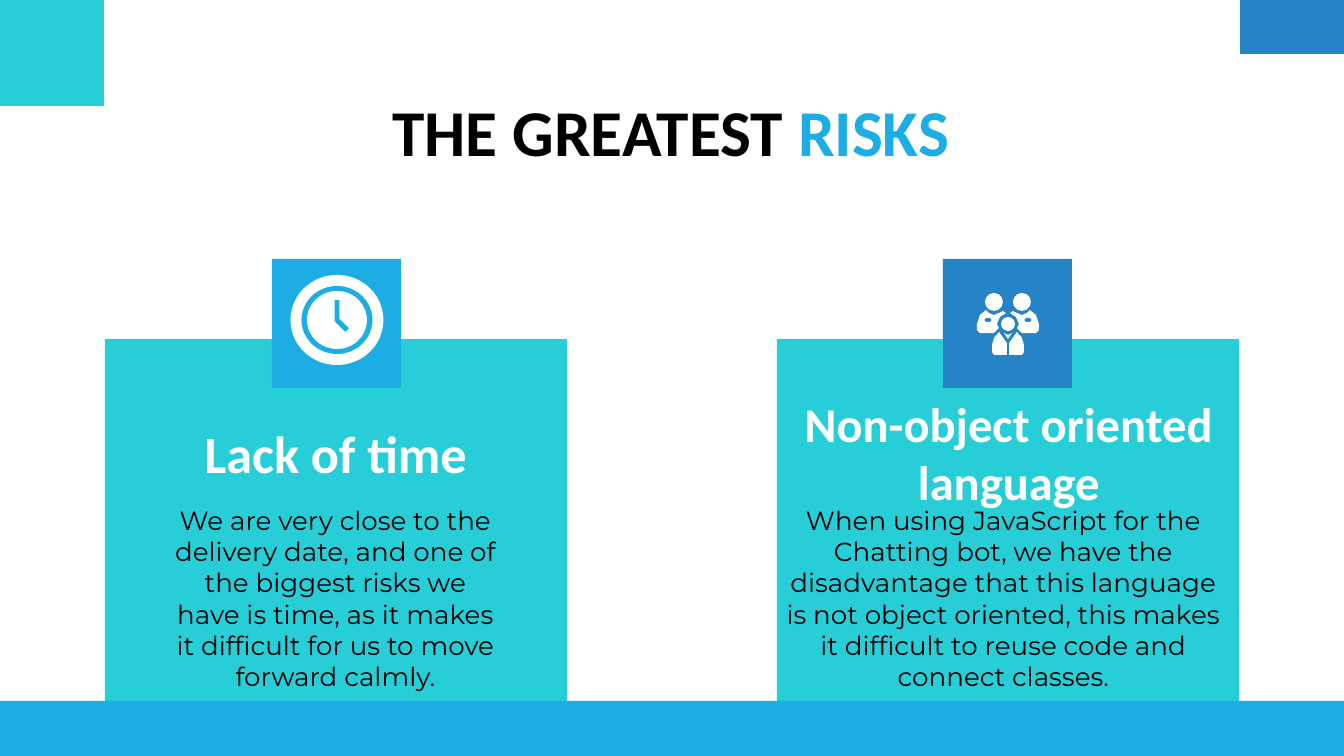
from pptx import Presentation
from pptx.dml.color import RGBColor
from pptx.enum.shapes import MSO_SHAPE as Shape
from pptx.enum.text import MSO_ANCHOR as Anchor, PP_ALIGN as Align
from pptx.util import Pt

PX = 914400 / 134.4
TEAL, SKY, BLUE, WHITE, BLACK = "27CED7", "1CADE4", "2683C6", "FFFFFF", "000000"

BLOCKS = [
    ((105, 339, 462, 417), TEAL),
    ((777, 339, 462, 417), TEAL),
    ((0, 701, 1344, 55), SKY),
    ((1240, 0, 104, 54), BLUE),
    ((0, 0, 104, 106), TEAL),
    ((272, 259, 129, 129), SKY),
    ((943, 259, 129, 129), BLUE),
]

HEADINGS = [
    ((87, 97, 1168, 66), 35, [("THE GREATEST ", BLACK), ("RISKS", SKY)]),
    ((159, 420, 353, 66), 28, [("Lack of time", WHITE)]),
    ((761, 397, 496, 110), 26, [("Non-object oriented language", WHITE)]),
]

DESCRIPTIONS = [
    ((159, 491, 353, 145),
     "We are very close to the delivery date, and one of the biggest risks we "
     "have is time, as it makes it difficult for us to move forward calmly."),
    ((769, 491, 469, 145),
     "When using JavaScript for the Chatting bot, we have the disadvantage that "
     "this language is not object oriented, this makes it difficult to reuse "
     "code and connect classes."),
]

CLOCK_CENTER = (337, 320)
CLOCK_DISCS = [(93, 90, WHITE), (71, 68, SKY), (60, 58, WHITE)]
CLOCK_HANDS = [(337, 300), (337, 320), (347, 330)]

TEAM_AXIS = 1008
TEAM_SHOULDER = [(5, 311), (2, 313), (8, 317), (11, 324), (9, 328), (14, 333),
                 (28, 333), (31, 330), (31, 324), (28, 315), (22, 310),
                 (19, 313), (14, 315), (9, 313)]
TEAM_LEG = [(9, 332), (1, 343), (1, 355), (14, 355), (16, 352), (16, 345), (14, 338)]
TEAM_COLLAR = [(-4, 333), (0, 339), (4, 333), (0, 335)]


def px(value):
    return round(value * PX)


def color(value):
    return RGBColor.from_string(value)


def paint(shape, fill):
    shape.shadow.inherit = False
    shape.fill.solid()
    shape.fill.fore_color.rgb = color(fill)
    shape.line.fill.background()


def add_block(slide, kind, box, fill):
    paint(slide.shapes.add_shape(kind, *map(px, box)), fill)


def add_oval(slide, center, width, height, fill):
    x, y = center
    add_block(slide, Shape.OVAL, (x - width / 2, y - height / 2, width, height), fill)


def add_outline(slide, points, close=True):
    builder = slide.shapes.build_freeform(*points[0], scale=PX)
    builder.add_line_segments(points[1:], close=close)
    return builder.convert_to_shape()


def add_text(slide, box, runs, font, size, bold=False, anchor=Anchor.TOP):
    frame = slide.shapes.add_textbox(*map(px, box)).text_frame
    frame.word_wrap = True
    frame.vertical_anchor = anchor
    frame.margin_left = frame.margin_right = px(13)
    frame.margin_top = frame.margin_bottom = px(13)
    paragraph = frame.paragraphs[0]
    paragraph.alignment = Align.CENTER
    for text, fill in runs:
        run = paragraph.add_run()
        run.text = text
        run.font.name = font
        run.font.size = Pt(size)
        run.font.bold = bold
        run.font.color.rgb = color(fill)


def add_clock(slide):
    for width, height, fill in CLOCK_DISCS:
        add_oval(slide, CLOCK_CENTER, width, height, fill)
    hands = add_outline(slide, CLOCK_HANDS, close=False)
    hands.shadow.inherit = False
    hands.fill.background()
    hands.line.color.rgb = color(SKY)
    hands.line.width = px(5)


def add_team(slide):
    for side in (-1, 1):
        add_oval(slide, (TEAM_AXIS + side * 14, 302), 18, 18, WHITE)
        for part in (TEAM_SHOULDER, TEAM_LEG):
            points = [(TEAM_AXIS + side * x, y) for x, y in part]
            paint(add_outline(slide, points), WHITE)
        add_oval(slide, (TEAM_AXIS + side * 20, 320), 7, 4, BLUE)
    add_oval(slide, (TEAM_AXIS, 324), 14, 14, WHITE)
    paint(add_outline(slide, [(TEAM_AXIS + x, y) for x, y in TEAM_COLLAR]), WHITE)


def main():
    presentation = Presentation()
    presentation.slide_width, presentation.slide_height = px(1344), px(756)
    slide = presentation.slides.add_slide(presentation.slide_layouts[6])
    for box, fill in BLOCKS:
        add_block(slide, Shape.RECTANGLE, box, fill)
    for box, size, runs in HEADINGS:
        add_text(slide, box, runs, "Calibri", size, True, Anchor.MIDDLE)
    for box, text in DESCRIPTIONS:
        add_text(slide, box, [(text, BLACK)], "Montserrat", 14)
    add_clock(slide)
    add_team(slide)
    presentation.save("out.pptx")


if __name__ == "__main__":
    main()
